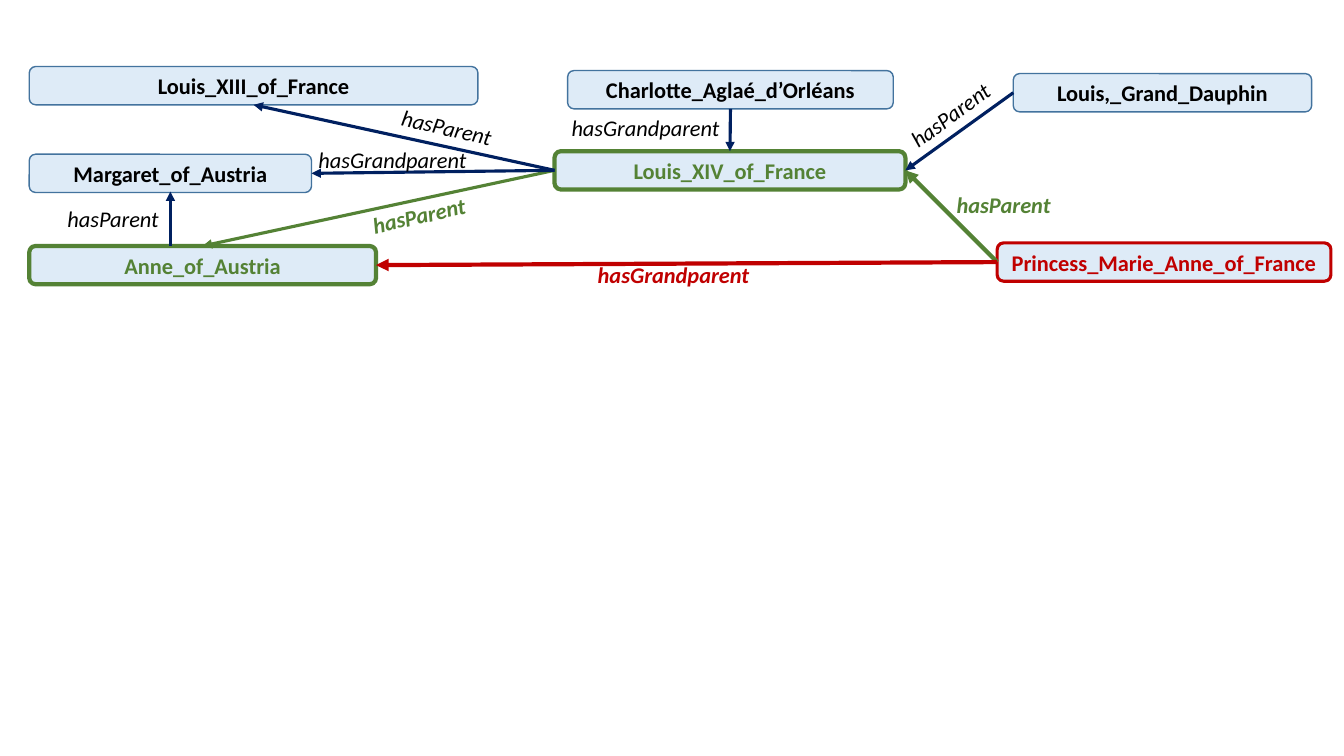
"""Build a family graph slide: people as boxes, relations as labelled arrows."""
from lxml import etree
from pptx import Presentation
from pptx.dml.color import RGBColor
from pptx.enum import shapes, text
from pptx.oxml import ns
from pptx.util import Inches, Pt

BLACK, NAVY, GREEN, RED = "000000", "002060", "548235", "C00000"
PALE, STEEL = "DEEBF7", "43739E"
TOP, LEFT, BOTTOM, RIGHT = range(4)
BOX_HEIGHT, LABEL_HEIGHT = 0.38, 0.37


def color(value):
    return RGBColor.from_string(value)


def write(shape, content, ink, bold, italic, alignment):
    paragraph = shape.text_frame.paragraphs[0]
    paragraph.alignment = alignment
    run = paragraph.add_run()
    run.text = content
    font = run.font
    font.name, font.size = "Calibri", Pt(16)
    font.bold, font.italic = bold, italic
    font.color.rgb = color(ink)


presentation = Presentation()
presentation.slide_width, presentation.slide_height = Inches(13.33), Inches(7.5)
slide = presentation.slides.add_slide(presentation.slide_layouts[6])

people = [
    ("Louis,_Grand_Dauphin", 10.05, 0.73, 2.96, BLACK, STEEL, 1),
    ("Princess_Marie_Anne_of_France", 9.89, 2.41, 3.31, RED, RED, 2.25),
    ("Louis_XIV_of_France", 5.5, 1.5, 3.48, GREEN, GREEN, 3),
    ("Anne_of_Austria", 0.29, 2.44, 3.44, GREEN, GREEN, 3),
    ("Margaret_of_Austria", 0.29, 1.53, 2.8, BLACK, STEEL, 1),
    ("Louis_XIII_of_France", 0.29, 0.66, 4.45, BLACK, STEEL, 1),
    ("Charlotte_Aglaé_d’Orléans", 5.63, 0.7, 3.23, BLACK, STEEL, 1),
]
boxes = {}
for name, left, top, width, ink, border, weight in people:
    box = slide.shapes.add_shape(
        shapes.MSO_SHAPE.ROUNDED_RECTANGLE,
        Inches(left), Inches(top), Inches(width), Inches(BOX_HEIGHT))
    box.shadow.inherit = False
    box.fill.solid()
    box.fill.fore_color.rgb = color(PALE)
    box.line.color.rgb = color(border)
    box.line.width = Pt(weight)
    box.text_frame.word_wrap = True
    box.text_frame.vertical_anchor = text.MSO_ANCHOR.MIDDLE
    write(box, name, ink, True, False, text.PP_ALIGN.CENTER)
    boxes[name] = box

relations = [
    ("Louis_XIV_of_France", LEFT, "Anne_of_Austria", TOP, GREEN, 2.25),
    ("Louis_XIV_of_France", LEFT, "Margaret_of_Austria", RIGHT, NAVY, 2.25),
    ("Louis_XIV_of_France", LEFT, "Louis_XIII_of_France", BOTTOM, NAVY, 2.25),
    ("Princess_Marie_Anne_of_France", LEFT, "Louis_XIV_of_France", RIGHT, GREEN, 3),
    ("Louis,_Grand_Dauphin", LEFT, "Louis_XIV_of_France", RIGHT, NAVY, 2.25),
    ("Charlotte_Aglaé_d’Orléans", BOTTOM, "Louis_XIV_of_France", TOP, NAVY, 2.25),
    ("Princess_Marie_Anne_of_France", LEFT, "Anne_of_Austria", RIGHT, RED, 3),
]
arrows = []
for child, child_side, elder, elder_side, ink, weight in relations:
    arrow = slide.shapes.add_connector(shapes.MSO_CONNECTOR.STRAIGHT, 0, 0, 0, 0)
    arrow.begin_connect(boxes[child], child_side)
    arrow.end_connect(boxes[elder], elder_side)
    arrows.append((arrow, ink, weight))

upward = slide.shapes.add_connector(
    shapes.MSO_CONNECTOR.STRAIGHT, Inches(1.69), Inches(2.44), Inches(1.69), Inches(1.9))
arrows.append((upward, NAVY, 2.25))

for arrow, ink, weight in arrows:
    arrow.line.color.rgb = color(ink)
    arrow.line.width = Pt(weight)
    etree.SubElement(arrow.line._get_or_add_ln(), ns.qn("a:tailEnd"), type="triangle")
    etree.SubElement(arrow._element.spPr, ns.qn("a:effectLst"))

labels = [
    ("hasGrandparent", 3.06, 1.4, 1.69, 0, BLACK),
    ("hasParent", 3.59, 1.95, 1.15, -12.4, GREEN),
    ("hasParent", 3.88, 1.08, 1.12, 12.9, BLACK),
    ("hasParent", 9.39, 1.85, 1.15, 0, GREEN),
    ("hasParent", 8.87, 0.95, 1.12, -36.3, BLACK),
    ("hasGrandparent", 5.57, 1.08, 1.69, 0, BLACK),
    ("hasGrandparent", 5.83, 2.54, 2.35, 0, RED),
    ("hasParent", 0.57, 1.99, 1.12, 0, BLACK),
]
for relation, left, top, width, angle, ink in labels:
    label = slide.shapes.add_textbox(
        Inches(left), Inches(top), Inches(width), Inches(LABEL_HEIGHT))
    label.rotation = angle
    label.text_frame.word_wrap = relation == "hasGrandparent"
    write(label, relation, ink, ink != BLACK, True, text.PP_ALIGN.LEFT)

presentation.save("out.pptx")
